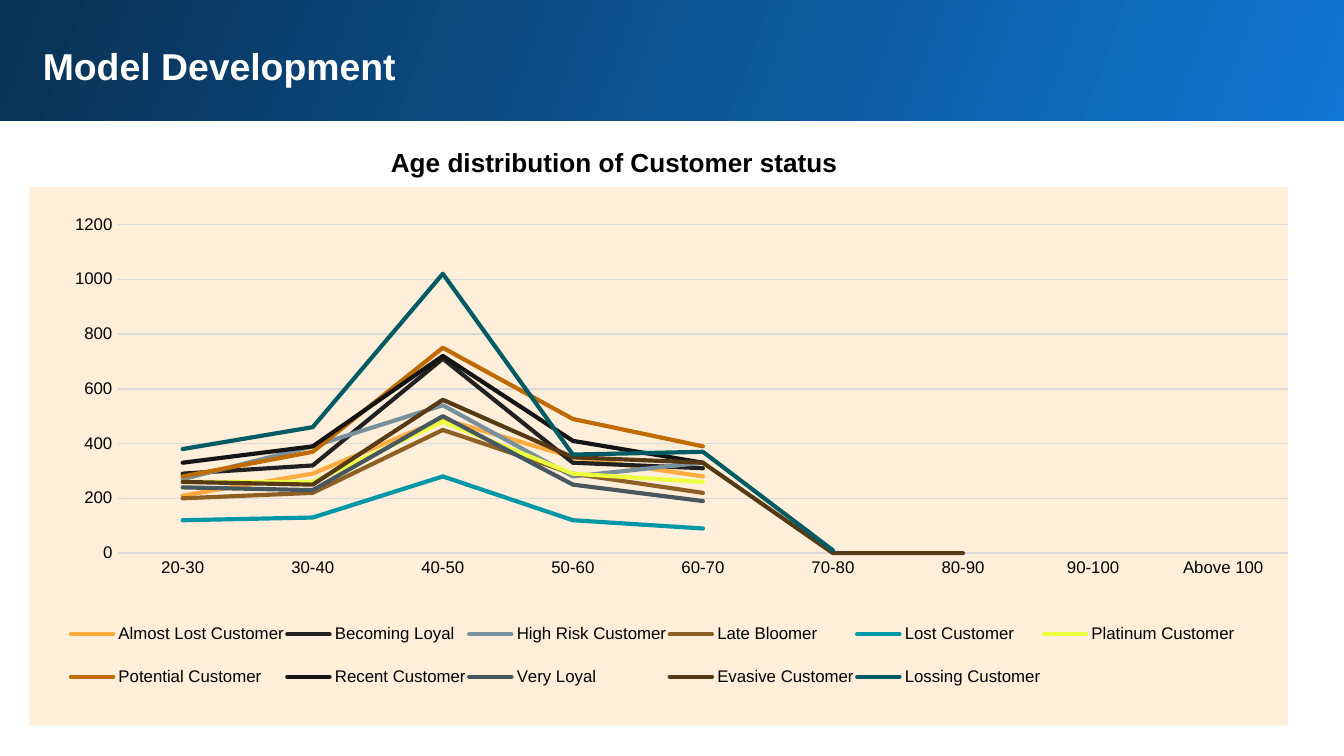
from lxml import etree
from pptx import Presentation
from pptx.chart.data import CategoryChartData
from pptx.dml.color import RGBColor
from pptx.enum import chart as ch, shapes, text
from pptx.oxml import parse_xml
from pptx.oxml.ns import nsdecls, qn
from pptx.util import Inches, Pt

FONT = "Arial"
BANNER = ("1077D2", "093153")
AGES = ["20-30", "30-40", "40-50", "50-60", "60-70",
        "70-80", "80-90", "90-100", "Above 100"]
NA = None
SERIES = [
    ("Almost Lost Customer", "FFAB40", [210, 290, 490, 350, 280, NA, NA, NA, 10]),
    ("Becoming Loyal", "212121", [290, 320, 710, 330, 310, NA, NA, NA, NA]),
    ("High Risk Customer", "78909C", [270, 390, 540, 280, 330, NA, NA, NA, NA]),
    ("Late Bloomer", "8F6024", [200, 220, 450, 290, 220, NA, NA, NA, NA]),
    ("Lost Customer", "0097A7", [120, 130, 280, 120, 90, NA, 0, NA, NA]),
    ("Platinum Customer", "EEFF41", [260, 260, 480, 290, 260, NA, NA, NA, NA]),
    ("Potential Customer", "BF6B00", [280, 370, 750, 490, 390, NA, NA, NA, NA]),
    ("Recent Customer", "141414", [330, 390, 720, 410, 330, NA, NA, 10, NA]),
    ("Very Loyal", "465760", [240, 230, 500, 250, 190, NA, NA, NA, NA]),
    ("Evasive Customer", "563A16", [260, 250, 560, 350, 330, 0, 0, NA, NA]),
    ("Lossing Customer", "005B64", [380, 460, 1020, 360, 370, 10, NA, NA, NA]),
]
# (text, box, size, colour, top inset)
TITLES = [
    ("Model Development", (0.22, 0.22, 9.37, 1.21), 20, "FFFFFF", 0.1),
    ("Age distribution of Customer status", (2.81, 1.04, 8.02, 0.57), 14, "000000", 0.05),
]


def rgb(code):
    return RGBColor.from_string(code)


def place(box):
    return [Inches(n) for n in box]


def style(font, size, color="000000"):
    font.name, font.size = FONT, Pt(size)
    font.color.rgb = rgb(color)


def stroke(line, color, width):
    line.color.rgb = rgb(color)
    line.width = Pt(width)


def add_banner(slide):
    bar = slide.shapes.add_shape(shapes.MSO_SHAPE.RECTANGLE,
                                 *place((-0.02, -0.02, 10.05, 0.92)))
    bar.shadow.inherit = False
    bar.line.fill.background()
    bar.fill.gradient()
    bar.fill.gradient_angle = 160
    for stop, color in zip(bar.fill.gradient_stops, BANNER):
        stop.color.rgb = rgb(color)


def add_title(slide, words, box, size, color, inset):
    frame = slide.shapes.add_textbox(*place(box)).text_frame
    frame.word_wrap = True
    frame.auto_size = text.MSO_AUTO_SIZE.NONE
    frame.margin_top = frame.margin_bottom = Inches(inset)
    run = frame.paragraphs[0].add_run()
    run.text = words
    run.font.bold = True
    style(run.font, size, color)


def set_layout(part, index, box, inner=False):
    """Fix a chart part's place, in fractions of the chart area."""
    for old in part.findall(qn("c:layout")):
        part.remove(old)
    layout = parse_xml(f"<c:layout {nsdecls('c')}><c:manualLayout/></c:layout>")
    rules = [("layoutTarget", "inner")] if inner else []
    rules += [("xMode", "edge"), ("yMode", "edge"), *zip("xywh", box)]
    for tag, val in rules:
        etree.SubElement(layout[0], qn(f"c:{tag}")).set("val", str(val))
    part.insert(index, layout)


def add_chart(slide):
    data = CategoryChartData(number_format="0")
    data.categories = AGES
    for name, _, vals in SERIES:
        data.add_series(name, vals)
    chart = slide.shapes.add_chart(ch.XL_CHART_TYPE.LINE,
                                   *place((0.22, 1.39, 9.37, 4.01)), data).chart
    chart.has_title = False
    style(chart.font, 10)

    for line, (_, color, _) in zip(chart.plots[0].series, SERIES):
        line.smooth = False
        stroke(line.format.line, color, 2.25)
        line._element.find(".//" + qn("a:ln")).set("cap", "rnd")
    chart.plots[0].vary_by_categories = False

    ages, counts = chart.category_axis, chart.value_axis
    for axis in (ages, counts):
        axis.major_tick_mark = axis.minor_tick_mark = ch.XL_TICK_MARK.NONE
        style(axis.tick_labels.font, 9)
    stroke(ages.format.line, "D9D9D9", 0.75)
    counts.format.line.fill.background()
    counts.minimum_scale, counts.maximum_scale, counts.major_unit = 0, 1200, 200
    counts.tick_labels.number_format = "0"
    counts.tick_labels.number_format_is_linked = False
    stroke(counts.major_gridlines.format.line, "D9D9D9", 0.75)

    chart.has_legend = True
    key = chart.legend
    key.position = ch.XL_LEGEND_POSITION.RIGHT
    key.include_in_layout = False
    style(key.font, 9)
    set_layout(key._element, 1, (0.03, 0.77, 0.93, 0.2))

    root = chart._chartSpace
    set_layout(root.find(".//" + qn("c:plotArea")), 0, (0.07, 0.07, 0.93, 0.61), inner=True)
    root.find(qn("c:chart")).addnext(parse_xml(
        f"<c:spPr {nsdecls('c', 'a')}><a:solidFill><a:srgbClr val='FFEED9'/></a:solidFill>"
        "<a:ln><a:noFill/></a:ln></c:spPr>"))


def main():
    deck = Presentation()
    deck.slide_width = Inches(10)
    deck.slide_height = deck.slide_width * 9 // 16
    slide = deck.slides.add_slide(deck.slide_layouts[6])
    add_banner(slide)
    add_chart(slide)
    for title in TITLES:
        add_title(slide, *title)
    deck.save("out.pptx")


if __name__ == "__main__":
    main()
